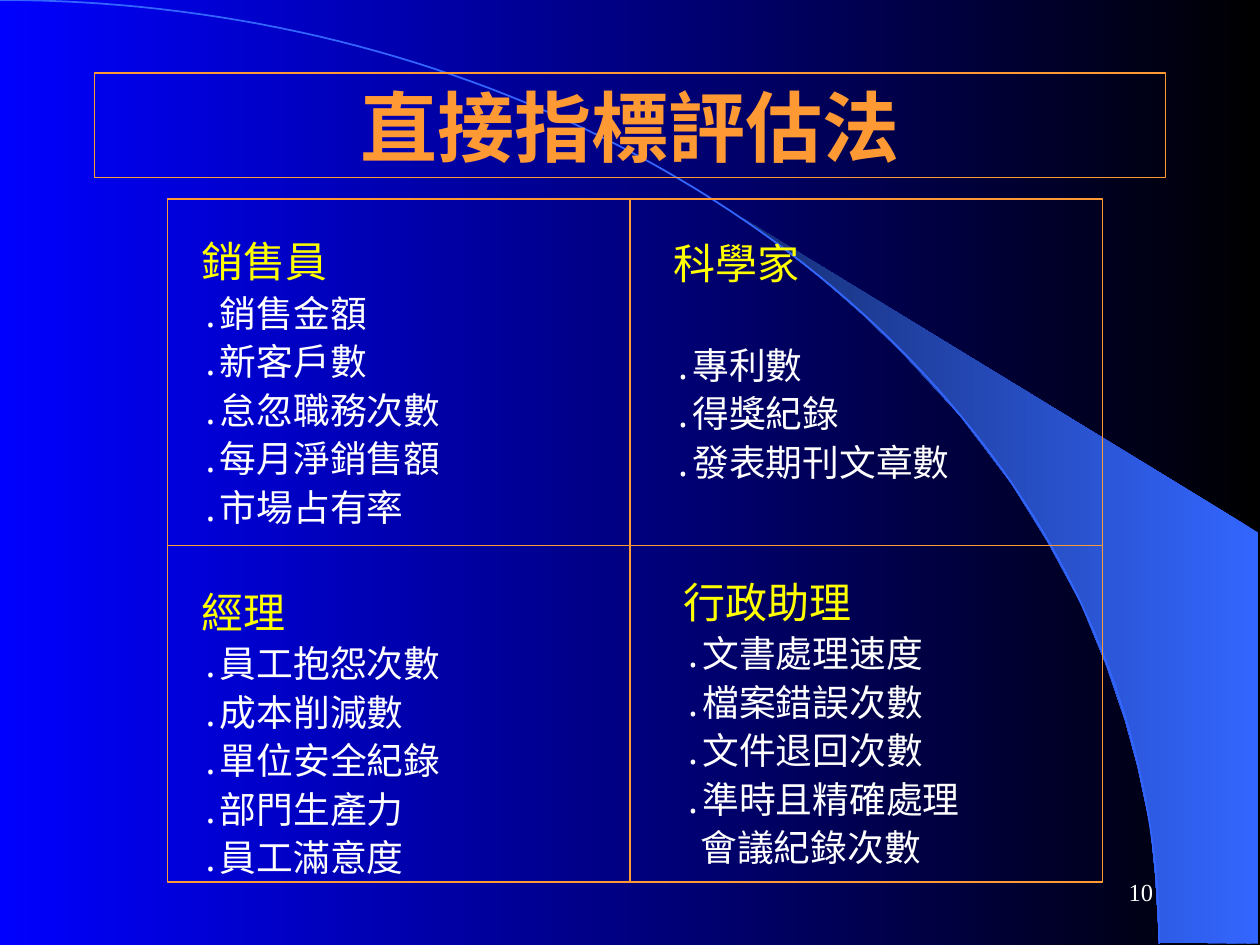
import math
from dataclasses import dataclass

from lxml import etree
from pptx import Presentation
from pptx.dml.color import RGBColor
from pptx.enum.shapes import MSO_CONNECTOR, MSO_SHAPE
from pptx.enum.text import MSO_ANCHOR, MSO_AUTO_SIZE, PP_ALIGN
from pptx.oxml.ns import qn
from pptx.util import Inches, Pt

STRAIGHT = MSO_CONNECTOR.STRAIGHT
RECTANGLE = MSO_SHAPE.RECTANGLE
MIDDLE = MSO_ANCHOR.MIDDLE
NO_AUTOSIZE = MSO_AUTO_SIZE.NONE
CENTER, RIGHT = PP_ALIGN.CENTER, PP_ALIGN.RIGHT


@dataclass(frozen=True)
class Theme:
    black: RGBColor = RGBColor.from_string("000000")
    blue: RGBColor = RGBColor.from_string("0000FF")
    sky: RGBColor = RGBColor.from_string("3366FF")
    navy: RGBColor = RGBColor.from_string("172F75")
    orange: RGBColor = RGBColor.from_string("FF9933")
    yellow: RGBColor = RGBColor.from_string("FFFF00")
    white: RGBColor = RGBColor.from_string("FFFFFF")
    sans: str = "Arial"
    serif: str = "Times New Roman"
    chinese: str = "Noto Sans CJK SC"
    title_size: Pt = Pt(44)
    heading_size: Pt = Pt(24)
    item_size: Pt = Pt(21)
    number_size: Pt = Pt(14)
    heading_pitch: Pt = Pt(30.5)
    item_pitch: Pt = Pt(27.7)


theme = Theme()


def add_run(paragraph, text, font_name, size, color, bold=False):
    run = paragraph.add_run()
    run.text = text
    run.font.size = size
    run.font.bold = bold
    run.font.color.rgb = color
    run.font.name = font_name
    east_asian = etree.SubElement(run.font._element, qn("a:ea"))
    east_asian.set("typeface", theme.chinese)


def set_gradient(fill, start_color, end_color):
    fill.gradient()
    fill.gradient_angle = 180
    for stop, position, color in zip(fill.gradient_stops, (0, 1), (start_color, end_color)):
        stop.position = position
        stop.color.rgb = color


presentation = Presentation()
presentation.slide_width = Inches(10)
presentation.slide_height = Inches(7.5)
slide = presentation.slides.add_slide(presentation.slide_layouts[5])
shapes = slide.shapes
set_gradient(slide.background.fill, theme.black, theme.blue)

wedge_points = [
    (9.2, 7.48), (9.99, 7.49), (9.99, 4.23), (5.89, 1.73), (6.24, 1.99), (6.53, 2.22),
    (6.85, 2.5), (7.16, 2.8), (7.62, 3.3), (8.03, 3.84), (8.32, 4.31), (8.58, 4.79),
    (8.78, 5.28), (8.93, 5.72), (9.03, 6.09), (9.13, 6.56), (9.17, 6.96),
]
wedge_points = [(Inches(x), Inches(y)) for x, y in wedge_points]
builder = shapes.build_freeform(*wedge_points[0])
builder.add_line_segments(wedge_points[1:], close=True)
wedge = builder.convert_to_shape()
wedge.shadow.inherit = False
set_gradient(wedge.fill, theme.sky, theme.navy)
wedge.line.fill.background()

arc_angles = [math.radians(degree) for degree in range(91)]
arc_points = [
    (Inches(9.2 * math.sin(angle)), Inches(7.49 * (1 - math.cos(angle))))
    for angle in arc_angles
]
builder = shapes.build_freeform(*arc_points[0])
builder.add_line_segments(arc_points[1:], close=False)
arc = builder.convert_to_shape()
arc.shadow.inherit = False
arc.fill.background()
arc.line.color.rgb = theme.sky
arc.line.width = Pt(1)

title = shapes.title
title.element.getparent().append(title.element)
title.left, title.top = Inches(0.75), Inches(0.58)
title.width, title.height = Inches(8.5), Inches(0.83)
title.line.color.rgb = theme.orange
title.line.width = Pt(0.75)
title.text_frame.auto_size = NO_AUTOSIZE
title.text_frame.vertical_anchor = MIDDLE
paragraph = title.text_frame.paragraphs[0]
paragraph.alignment = CENTER
add_run(paragraph, "直接指標評估法", theme.sans, theme.title_size, theme.orange, True)

left, top, right, bottom = 1.33, 1.58, 8.75, 7
frame = shapes.add_shape(
    RECTANGLE, Inches(left), Inches(top), Inches(right - left), Inches(bottom - top)
)
frame.shadow.inherit = False
frame.fill.background()
frame.line.color.rgb = theme.orange
frame.line.width = Pt(0.75)

for ends in ((left, 4.33, right, 4.33), (5, top, 5, bottom)):
    divider = shapes.add_connector(STRAIGHT, *[Inches(value) for value in ends])
    divider.line.color.rgb = theme.orange
    divider.line.width = Pt(0.75)
    etree.SubElement(divider._element.spPr, qn("a:effectLst"))

jobs = [
    (1.5, 1.8, 3, 2.43, 0, "銷售員",
     ["․銷售金額", "․新客戶數", "․怠忽職務次數", "․每月淨銷售額", "․市場占有率"]),
    (5.25, 1.81, 2.67, 2.41, 29, "科學家",
     ["․專利數", "․得獎紀錄", "․發表期刊文章數"]),
    (5.33, 4.5, 2.92, 2.43, 0, "行政助理",
     ["․文書處理速度", "․檔案錯誤次數", "․文件退回次數", "․準時且精確處理", "會議紀錄次數"]),
    (1.5, 4.58, 2.58, 2.43, 0, "經理",
     ["․員工抱怨次數", "․成本削減數", "․單位安全紀錄", "․部門生產力", "․員工滿意度"]),
]
for x, y, width, height, gap, heading, items in jobs:
    box = shapes.add_textbox(Inches(x), Inches(y), Inches(width), Inches(height))
    text_frame = box.text_frame
    text_frame.word_wrap = True
    paragraph = text_frame.paragraphs[0]
    paragraph.line_spacing = theme.heading_pitch
    paragraph.space_after = Pt(gap)
    add_run(paragraph, heading, theme.serif, theme.heading_size, theme.yellow)
    for item in items:
        paragraph = text_frame.add_paragraph()
        paragraph.line_spacing = theme.item_pitch
        if not item.startswith("․"):
            paragraph._p.get_or_add_pPr().set("marL", str(Inches(0.13)))
        add_run(paragraph, item, theme.chinese, theme.item_size, theme.white)

number_box = shapes.add_textbox(Inches(7.17), Inches(6.83), Inches(2.08), Inches(0.5))
number_box.text_frame.word_wrap = True
number_box.text_frame.vertical_anchor = MIDDLE
paragraph = number_box.text_frame.paragraphs[0]
paragraph.alignment = RIGHT
add_run(paragraph, "10", theme.serif, theme.number_size, theme.white)

presentation.save("out.pptx")
